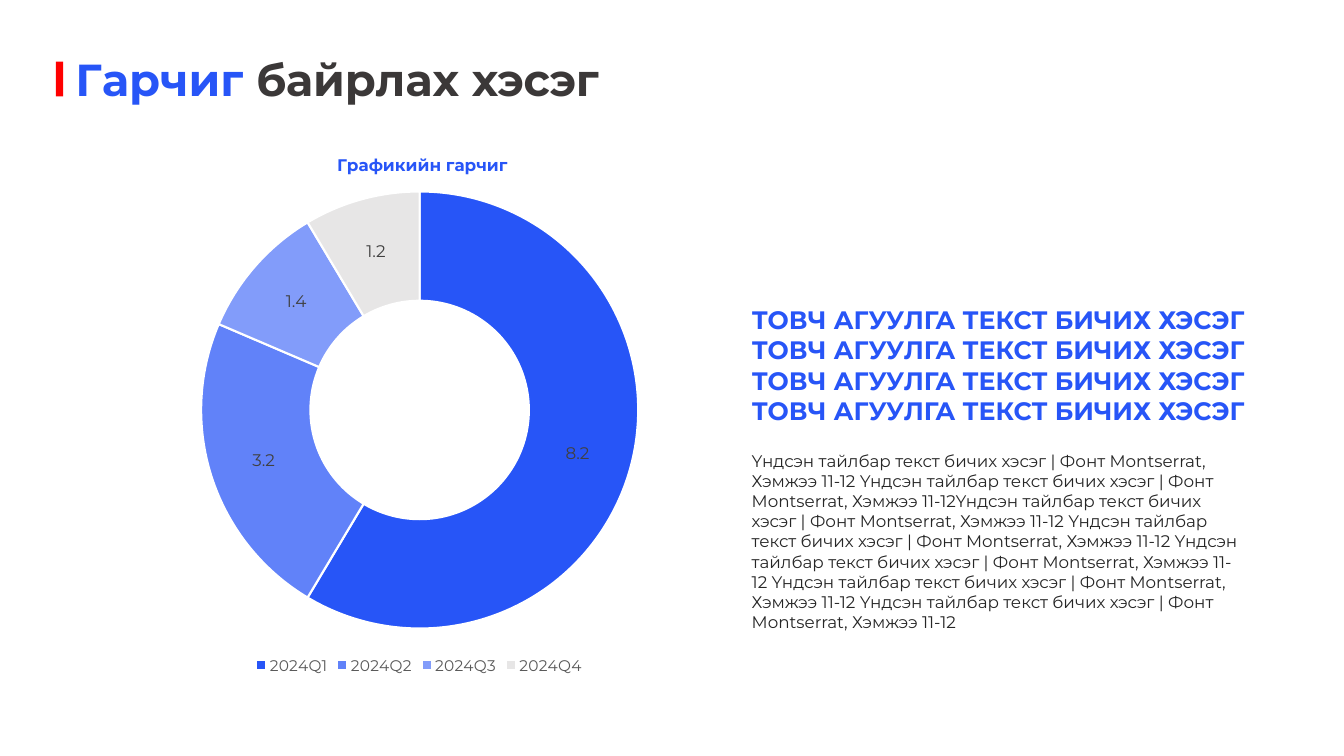
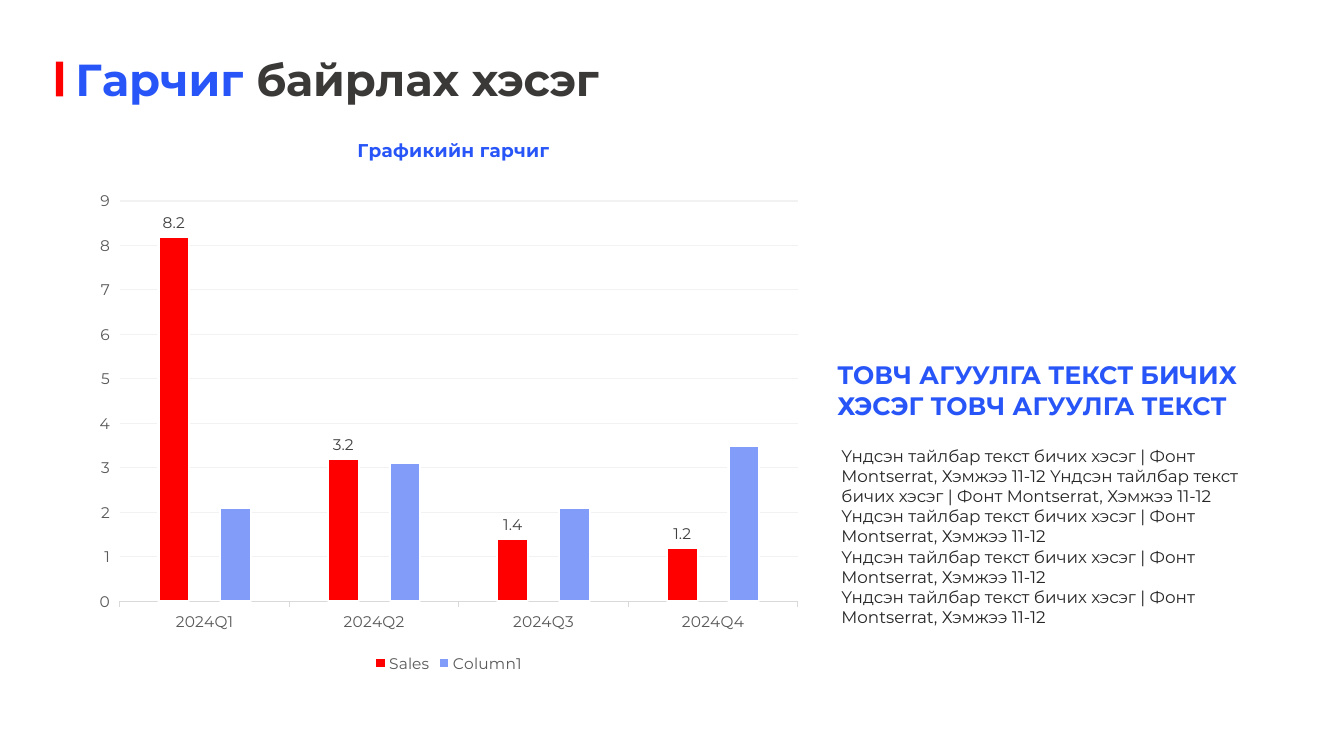
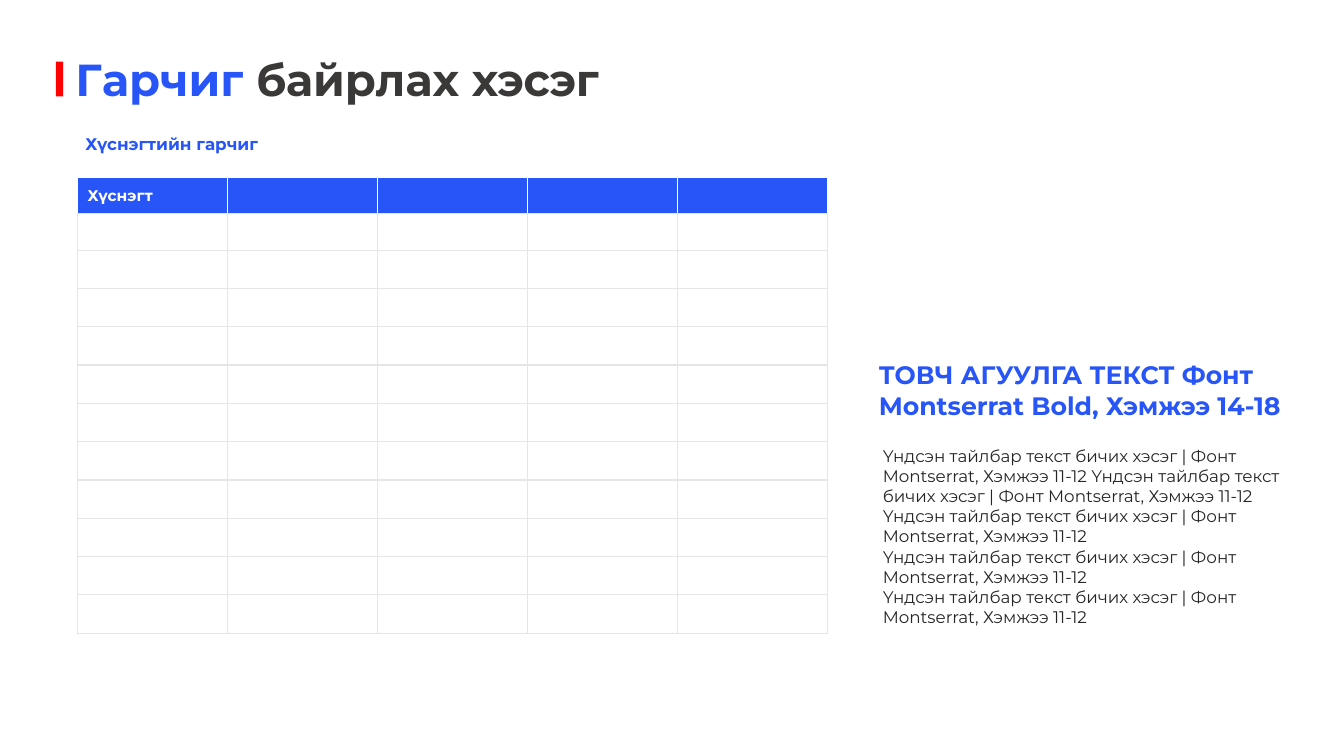
from lxml import etree
from pptx import Presentation
from pptx.chart.data import CategoryChartData
from pptx.dml.color import RGBColor
from pptx.enum.chart import XL_CHART_TYPE, XL_LABEL_POSITION, XL_LEGEND_POSITION, XL_TICK_MARK
from pptx.enum.shapes import MSO_SHAPE
from pptx.enum.text import MSO_ANCHOR
from pptx.oxml.ns import qn
from pptx.util import Pt

RECTANGLE = MSO_SHAPE.RECTANGLE
DOUGHNUT = XL_CHART_TYPE.DOUGHNUT
COLUMNS = XL_CHART_TYPE.COLUMN_CLUSTERED
OUTSIDE_END = XL_LABEL_POSITION.OUTSIDE_END
LEGEND_BOTTOM = XL_LEGEND_POSITION.BOTTOM
TICK_OUTSIDE = XL_TICK_MARK.OUTSIDE
MIDDLE = MSO_ANCHOR.MIDDLE

FONT = "Montserrat"
BLUE, MID_BLUE, LIGHT_BLUE = "2755F7", "6182F9", "829CFA"
RED, WHITE, PALE = "FF0000", "FFFFFF", "E7E6E6"
CHARCOAL, INK, LABEL, AXIS = "3B3838", "262626", "404040", "595959"
AXIS_LINE, GRID = "D9D9D9", "F3F2F2"

QUARTERS = [f"2024Q{number}" for number in range(1, 5)]
SALES = [8.2, 3.2, 1.4, 1.2]
CHART_TITLE = "Графикийн гарчиг"
SUMMARY = "ТОВЧ АГУУЛГА ТЕКСТ БИЧИХ ХЭСЭГ"
DETAIL = "Үндсэн тайлбар текст бичих хэсэг | Фонт Montserrat, Хэмжээ 11-12"
DETAIL_PAIR = f"{DETAIL} {DETAIL}"
DETAILS = [DETAIL_PAIR] + [DETAIL] * 3


def color(value):
    return RGBColor.from_string(value)


def points(box):
    return [Pt(value) for value in box]


class Deck:
    def __init__(self):
        self.presentation = Presentation()
        self.presentation.slide_width = Pt(960)
        self.presentation.slide_height = Pt(540)
        self.slide = None

    def style(self, font, size, hex_color, bold=False):
        font.name = FONT
        font.size = Pt(size)
        font.bold = bold
        font.color.rgb = color(hex_color)

    def new_slide(self):
        layout = self.presentation.slide_layouts[6]
        self.slide = self.presentation.slides.add_slide(layout)
        paragraph = self.text((46.8, 33.12, 558, 46.08), [""], 32, BLUE, True)
        for words, hex_color in (("Гарчиг ", BLUE), ("байрлах хэсэг", CHARCOAL)):
            run = paragraph.add_run()
            run.text = words
            self.style(run.font, 32, hex_color, True)
        bar = self.slide.shapes.add_shape(RECTANGLE, *points((39.9, 44, 5.2, 24.8)))
        bar.shadow.inherit = False
        bar.fill.solid()
        bar.fill.fore_color.rgb = color(RED)
        bar.line.fill.background()

    def text(self, box, lines, size, hex_color, bold=False):
        frame = self.slide.shapes.add_textbox(*points(box)).text_frame
        frame.word_wrap = True
        for index, line in enumerate(lines):
            paragraph = frame.add_paragraph() if index else frame.paragraphs[0]
            paragraph.text = line
            self.style(paragraph.font, size, hex_color, bold)
        return frame.paragraphs[0]

    def heading(self, box, lines):
        self.text(box, lines, 18, BLUE, True)

    def body(self, box, lines):
        self.text(box, lines, 12, INK)

    def place(self, parent, index, box, area, inner=False):
        layout = parent.find(qn("c:layout"))
        if layout is None:
            layout = etree.Element(qn("c:layout"))
            parent.insert(index, layout)
        manual = etree.SubElement(layout, qn("c:manualLayout"))
        left, top, width, height = box
        settings = [("xMode", "edge"), ("yMode", "edge")]
        if inner:
            settings.insert(0, ("layoutTarget", "inner"))
        settings += zip("xywh", (
            (area[0] - left) / width, (area[1] - top) / height,
            *(part / whole for part, whole in zip(area[2:], box[2:]))))
        for name, value in settings:
            etree.SubElement(manual, qn(f"c:{name}")).set("val", str(value))

    def chart(self, kind, box, series, title_at, title_size, plot_area):
        data = CategoryChartData()
        data.categories = QUARTERS
        for name, values in series.items():
            data.add_series(name, values)
        chart = self.slide.shapes.add_chart(kind, *points(box), data).chart
        self.style(chart.font, 11, AXIS)
        chart.has_title = True
        frame = chart.chart_title.text_frame
        frame.text = CHART_TITLE
        self.style(frame.paragraphs[0].font, title_size, BLUE, True)
        chart.has_legend = True
        chart.legend.position = LEGEND_BOTTOM
        chart.legend.include_in_layout = False
        self.style(chart.legend.font, 11, AXIS)
        root = chart._chartSpace.chart
        self.place(root.find(qn("c:title")), 1, box, title_at)
        self.place(root.plotArea, 0, box, plot_area, True)
        return chart

    def paint(self, part, hex_color):
        part.format.fill.solid()
        part.format.fill.fore_color.rgb = color(hex_color)
        part.format.line.color.rgb = color(WHITE)
        part.format.line.width = Pt(1.5)

    def value_labels(self, series, size):
        labels = series.data_labels
        labels.show_value = True
        self.style(labels.font, size, LABEL)
        return labels

    def doughnut(self, box, title_at, plot_area):
        chart = self.chart(DOUGHNUT, box, {"Series 1": SALES}, title_at, 12, plot_area)
        plot = chart.plots[0]
        plot.vary_by_categories = True
        for hole in chart._chartSpace.iter(qn("c:holeSize")):
            hole.set("val", "75")
        for index, hex_color in enumerate((BLUE, MID_BLUE, LIGHT_BLUE, PALE)):
            self.paint(plot.series[0].points[index], hex_color)
        self.value_labels(plot.series[0], 12)

    def columns(self, box, series, title_at, plot_area):
        chart = self.chart(COLUMNS, box, series, title_at, 13.2, plot_area)
        plot = chart.plots[0]
        plot.vary_by_categories = False
        plot.gap_width = 250
        plot.overlap = -100
        for item, hex_color in zip(plot.series, (RED, LIGHT_BLUE)):
            item.invert_if_negative = False
            self.paint(item, hex_color)
        self.value_labels(plot.series[0], 11).position = OUTSIDE_END
        for axis in (chart.category_axis, chart.value_axis):
            axis.major_tick_mark = TICK_OUTSIDE
            self.style(axis.tick_labels.font, 11, AXIS)
        category_line = chart.category_axis.format.line
        category_line.color.rgb = color(AXIS_LINE)
        category_line.width = Pt(0.75)
        value_axis = chart.value_axis
        value_axis.minimum_scale, value_axis.maximum_scale = 0, 9
        value_axis.major_unit = 1
        value_axis.format.line.fill.background()
        grid_line = value_axis.major_gridlines.format.line
        grid_line.color.rgb = color(GRID)
        grid_line.width = Pt(0.75)

    def borders(self, cell, hex_colors):
        properties = cell._tc.get_or_add_tcPr()
        for index, (side, hex_color) in enumerate(zip("LRTB", hex_colors)):
            line = etree.Element(qn(f"a:ln{side}"), w=str(Pt(1)))
            fill = etree.SubElement(line, qn("a:solidFill"))
            etree.SubElement(fill, qn("a:srgbClr"), val=hex_color)
            properties.insert(index, line)

    def table(self, box, header, row_heights, column_count):
        table = self.slide.shapes.add_table(
            len(row_heights), column_count, *points(box)).table
        table.horz_banding = False
        for column in table.columns:
            column.width = Pt(box[2] / column_count)
        for index, (row, height) in enumerate(zip(table.rows, row_heights)):
            row.height = Pt(height)
            is_header = index == 0
            for cell in row.cells:
                cell.vertical_anchor = MIDDLE
                cell.fill.solid()
                cell.fill.fore_color.rgb = color(BLUE if is_header else WHITE)
                self.style(cell.text_frame.paragraphs[0].font, 11,
                           WHITE if is_header else INK, is_header)
                self.borders(cell, [WHITE if is_header else PALE] * 3 + [PALE])
        table.cell(0, 0).text_frame.paragraphs[0].add_run().text = header


def main():
    deck = Deck()

    deck.new_slide()
    deck.doughnut((10.8, 93.6, 577.44, 391.68), (238.6, 107.5), (143.7, 136.8, 312.2, 312.2))
    deck.body((529.92, 318.24, 362.88, 138.24),
              [DETAIL_PAIR + " ".join([DETAIL] * 5)])
    deck.heading((529.92, 213.84, 380.88, 116.64),
                 [f"{SUMMARY} {SUMMARY}", SUMMARY, SUMMARY])

    deck.new_slide()
    deck.columns((61.2, 92.16, 519.12, 391.68),
                 {"Sales": SALES, "Column1": [2.1, 3.1, 2.1, 3.5]},
                 (252.9, 96), (85.7, 143.6, 484.3, 286))
    deck.body((594, 314.64, 331.2, 138.24), DETAILS)
    deck.heading((591.12, 253.44, 321.12, 51.12), [f"{SUMMARY} ТОВЧ АГУУЛГА ТЕКСТ"])

    deck.new_slide()
    deck.body((623.52, 314.64, 331.2, 138.24), DETAILS)
    deck.heading((620.64, 253.44, 321.12, 51.12),
                 ["ТОВЧ АГУУЛГА ТЕКСТ Фонт Montserrat Bold, Хэмжээ 14-18"])
    deck.table((55.44, 126.72, 535.68, 325.44), "Хүснэгт", [26] * 2 + [27.36] * 10, 5)
    deck.text((54, 92.16, 240.48, 21.6), ["Хүснэгтийн гарчиг"], 12, BLUE, True)

    deck.presentation.save("out.pptx")


if __name__ == "__main__":
    main()
